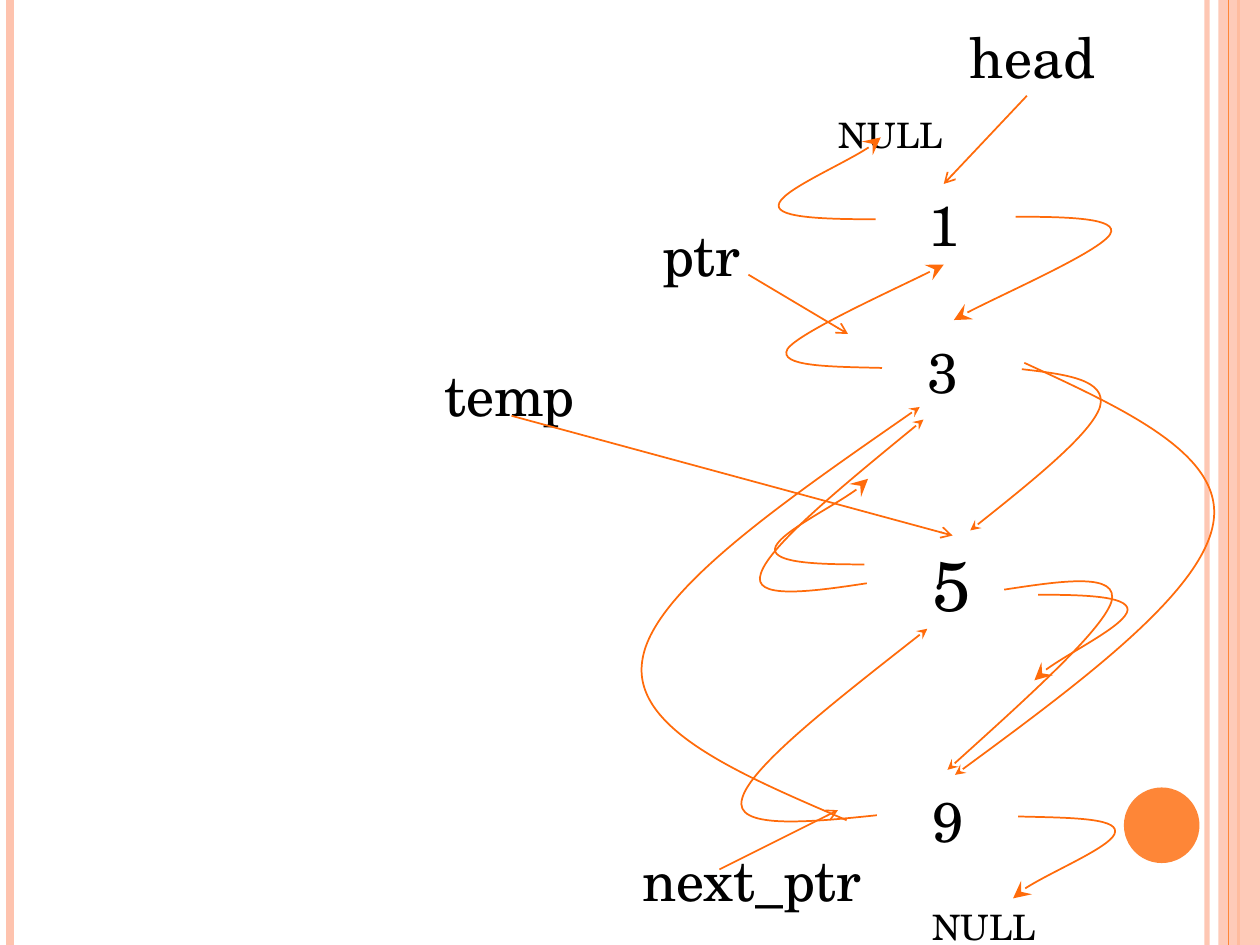
import pptx
import pptx.util
import pptx.dml.color
import pptx.enum.shapes
import pptx.enum.text
import pptx.oxml
import pptx.oxml.ns

Inches = pptx.util.Inches
Pt = pptx.util.Pt
qn = pptx.oxml.ns.qn

COLORS = {"rail": "FEC3AE", "accent": "FE8637", "arrow": "FF6B0A", "text": "000000"}
FONT = "TeX Gyre Schola"

RAILS = [(9.58, "rail", 3, 93), (0.08, "rail", 4.5, 100), (9.83, "accent", 1.5, 100)]

LABELS = [
    ("head", 7.6, 0.13, 1.33, 0.64, 32, True),
    ("ptr", 5.16, 1.7, 0.83, 0.64, 32, False),
    ("temp", 3.43, 2.81, 1.26, 0.64, 32, False),
    ("next_ptr", 5, 6.66, 1.97, 0.64, 32, False),
    ("NULL", 6.56, 0.85, 1.18, 0.31, 20, True),
    ("NULL", 7.3, 7.14, 1.18, 0.31, 20, True),
]
NODES = [
    ("1", 7.27, 1.46, 0.45, 0.64, 32, False),
    ("3", 7.26, 2.63, 0.45, 0.64, 32, False),
    ("5", 7.3, 4.25, 0.51, 0.77, 40, True),
    ("9", 7.3, 6.19, 0.45, 0.64, 32, False),
]
POINTERS = [
    (8.15, 0.76, 7.49, 1.46),
    (5.94, 2.18, 6.73, 2.65),
    (4.06, 3.3, 7.56, 4.25),
    (5.71, 6.9, 6.65, 6.43),
]
NEIGHBOR_LINKS = [
    [(8.24, 4.72), (8.6, 4.72), (8.95, 4.73), (8.95, 4.84), (8.94, 4.96), (8.28, 5.28), (8.21, 5.4)],
    [(6.86, 4.48), (6.5, 4.48), (6.15, 4.47), (6.15, 4.36), (6.16, 4.24), (6.82, 3.92), (6.89, 3.8)],
    [(6.95, 1.74), (6.56, 1.74), (6.17, 1.73), (6.18, 1.63), (6.18, 1.52), (6.91, 1.21), (6.99, 1.09)],
    [(8.06, 1.72), (8.47, 1.72), (8.89, 1.73), (8.81, 1.86), (8.72, 2), (7.74, 2.43), (7.57, 2.54)],
    [(7, 2.92), (6.59, 2.91), (6.17, 2.91), (6.25, 2.77), (6.34, 2.64), (7.31, 2.2), (7.49, 2.1)],
    [(8.08, 6.48), (8.47, 6.49), (8.86, 6.49), (8.85, 6.6), (8.85, 6.71), (8.12, 7.01), (8.04, 7.13)],
]
SWAP_LINKS = [
    [(8.13, 2.88), (8.93, 3.25), (9.72, 3.61), (9.63, 4.15), (9.54, 4.7), (8.56, 5.43), (7.58, 6.15)],
    [(6.72, 6.51), (5.86, 6.14), (5, 5.78), (5.1, 5.23), (5.19, 4.69), (6.25, 3.96), (7.3, 3.23)],
    [(6.88, 4.63), (6.42, 4.7), (5.96, 4.76), (6.04, 4.55), (6.11, 4.33), (6.72, 3.83), (7.33, 3.33)],
    [(7.97, 4.68), (8.43, 4.61), (8.89, 4.54), (8.82, 4.78), (8.74, 5.01), (8.13, 5.56), (7.52, 6.11)],
    [(8.11, 2.93), (8.45, 2.97), (8.79, 3.01), (8.73, 3.23), (8.66, 3.44), (8.18, 3.83), (7.7, 4.21)],
    [(6.96, 6.47), (6.39, 6.53), (5.82, 6.58), (5.89, 6.34), (5.95, 6.09), (6.66, 5.54), (7.36, 4.99)],
]


def rgb(name):
    return pptx.dml.color.RGBColor.from_string(COLORS[name])


def set_alpha(properties, percent):
    color = properties.find(".//" + qn("a:srgbClr"))
    color.append(color.makeelement(qn("a:alpha"), {"val": str(percent * 1000)}))


def style_line(shape, color, width, head=None, size="med"):
    shape.line.color.rgb = rgb(color)
    shape.line.width = Pt(width)
    if head:
        line = shape.line._get_or_add_ln()
        attributes = {"type": head, "w": size, "len": size}
        line.append(line.makeelement(qn("a:tailEnd"), attributes))


def add_line(slide, start_x, start_y, end_x, end_y, color, width, head=None):
    connector = slide.shapes.add_connector(
        pptx.enum.shapes.MSO_CONNECTOR.STRAIGHT, start_x, start_y, end_x, end_y)
    style_line(connector, color, width, head)
    properties = connector.element.spPr
    properties.append(properties.makeelement(qn("a:effectLst"), {}))
    return connector


def add_block(slide, kind, left, top, width, height, color):
    shape = slide.shapes.add_shape(kind, left, top, width, height)
    shape.shadow.inherit = False
    shape.fill.solid()
    shape.fill.fore_color.rgb = rgb(color)
    shape.line.fill.background()
    return shape


def add_label(slide, left, top, text, x, y, width, height, size, wrap):
    box = slide.shapes.add_textbox(left + Inches(x), top + Inches(y), Inches(width), Inches(height))
    frame = box.text_frame
    frame.word_wrap = wrap
    frame.auto_size = pptx.enum.text.MSO_AUTO_SIZE.NONE
    paragraph = frame.paragraphs[0]
    paragraph.text = text
    paragraph.font.name = FONT
    paragraph.font.size = Pt(size)
    paragraph.font.color.rgb = rgb("text")


def add_curve(slide, left, top, points, size):
    places = [(left + Inches(x), top + Inches(y)) for x, y in points]
    builder = slide.shapes.build_freeform(*places[0])
    builder.add_line_segments(places[1:], close=False)
    shape = builder.convert_to_shape()
    outline = shape.element.find(".//" + qn("a:path"))
    segments = outline.findall(qn("a:lnTo"))
    for first in range(0, len(segments), 3):
        curve = outline.makeelement(qn("a:cubicBezTo"), {})
        for segment in segments[first:first + 3]:
            curve.append(segment[0])
            outline.remove(segment)
        outline.append(curve)
    shape.shadow.inherit = False
    shape.fill.background()
    style_line(shape, "arrow", 1, "stealth", size)


def draw_frame(slide, left, top, width, height):
    shapes = pptx.enum.shapes.MSO_SHAPE
    bottom = top + height
    for x, color, weight, alpha in RAILS:
        rail = add_line(slide, left + Inches(x), top, left + Inches(x), bottom, color, weight)
        if alpha < 100:
            set_alpha(rail.element.spPr, alpha)
    band_width = Inches(0.33)
    band = add_block(slide, shapes.RECTANGLE, left + width - band_width, top, band_width, height, "rail")
    set_alpha(band.element.spPr, 87)
    add_line(slide, left + Inches(9.75), top, left + Inches(9.75), bottom, "accent", 0.75)
    add_block(slide, shapes.OVAL, left + Inches(8.92), top + Inches(6.25),
              Inches(0.6), Inches(0.6), "accent")


def draw_linked_list(slide, left, top):
    for label in LABELS + NODES:
        add_label(slide, left, top, *label)
    for start_x, start_y, end_x, end_y in POINTERS:
        add_line(slide, left + Inches(start_x), top + Inches(start_y),
                 left + Inches(end_x), top + Inches(end_y), "arrow", 1, "arrow")
    for links, size in ((NEIGHBOR_LINKS, "lg"), (SWAP_LINKS, "med")):
        for points in links:
            add_curve(slide, left, top, points, size)


def main():
    presentation = pptx.Presentation()
    presentation.slide_width = Inches(10)
    presentation.slide_height = Inches(7.5)
    slide = presentation.slides.add_slide(presentation.slide_layouts[6])
    draw_frame(slide, Inches(0), Inches(0), presentation.slide_width, presentation.slide_height)
    draw_linked_list(slide, Inches(0), Inches(0))
    presentation.save("out.pptx")


if __name__ == "__main__":
    main()
